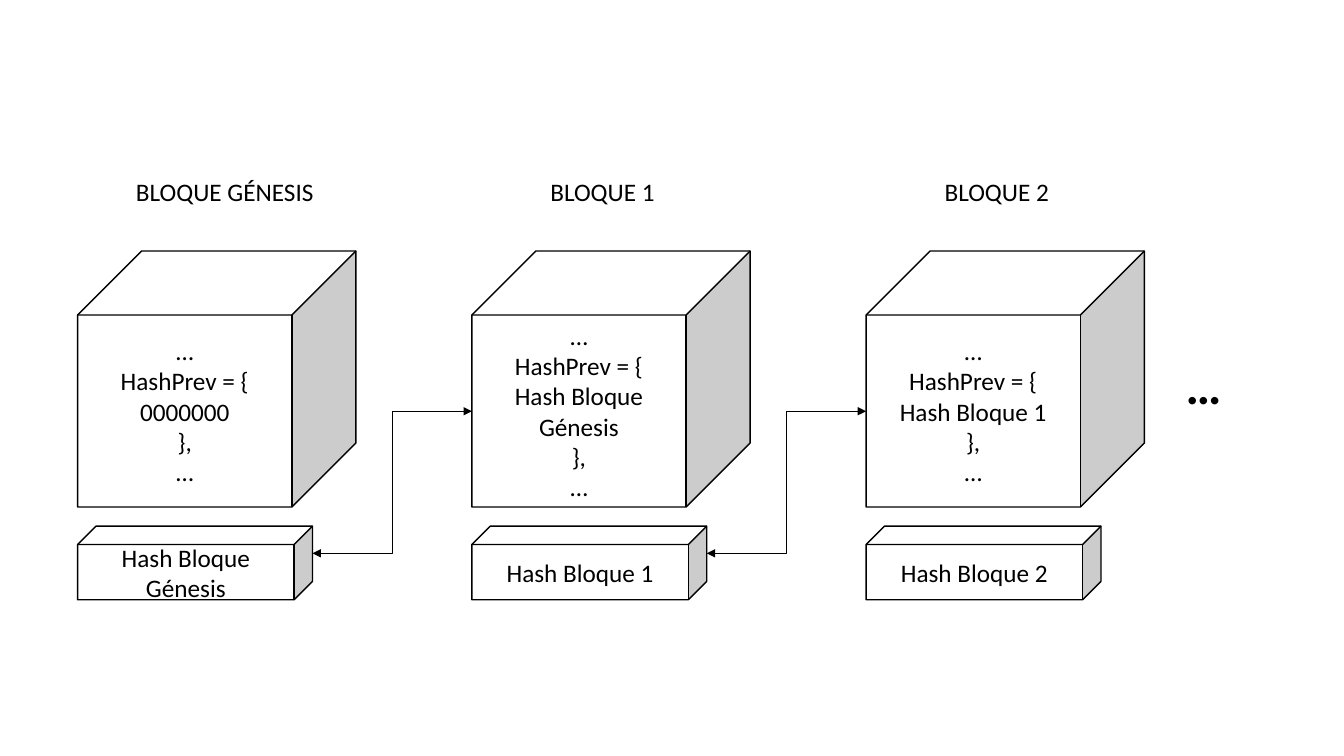
"""Builds a slide showing how each block of a chain stores the hash of the one before."""
import pptx
import pptx.dml.color
import pptx.enum.shapes
import pptx.enum.text
import pptx.oxml
import pptx.oxml.ns
import pptx.util

Inches = pptx.util.Inches
COLORS = {"ink": "000000", "face": "FFFFFF"}
FONT = "Calibri"
COLUMN_LEFT, COLUMN_TOP, COLUMN_PITCH = 0.77, 1.7, 3.91
BLOCK_WIDTH, BLOCK_HEIGHT, BLOCK_DROP = 2.76, 2.54, 0.79
HASH_WIDTH, HASH_HEIGHT, HASH_DROP = 2.33, 0.73, 3.52
LINK_START_DROP, LINK_END_DROP = 3.79, 2.38
BLOCKS = [
    ("BLOQUE GÉNESIS", 0.48, "0000000", "Hash Bloque Génesis"),
    ("BLOQUE 1", 0.68, "Hash Bloque Génesis", "Hash Bloque 1"),
    ("BLOQUE 2", 0.68, "Hash Bloque 1", "Hash Bloque 2"),
]


def color(name):
    return pptx.dml.color.RGBColor.from_string(COLORS[name])


def write(frame, lines, align, size=18, bold=False):
    frame.word_wrap = True
    for index, line in enumerate(lines):
        para = frame.paragraphs[0] if index == 0 else frame.add_paragraph()
        para.alignment = align
        span = para.add_run()
        span.text = line
        span.font.name = FONT
        span.font.size = pptx.util.Pt(size)
        span.font.bold = bold
        span.font.color.rgb = color("ink")


def add_label(page, box, text, size=18, bold=False):
    label = page.shapes.add_textbox(*map(Inches, box))
    write(label.text_frame, [text], pptx.enum.text.PP_ALIGN.LEFT, size, bold)
    label.text_frame.auto_size = pptx.enum.text.MSO_AUTO_SIZE.SHAPE_TO_FIT_TEXT


def add_cube(page, box, lines):
    cube = page.shapes.add_shape(pptx.enum.shapes.MSO_SHAPE.CUBE, *map(Inches, box))
    cube.shadow.inherit = False
    cube.fill.solid()
    cube.fill.fore_color.rgb = color("face")
    cube.line.color.rgb = color("ink")
    cube.line.width = pptx.util.Pt(1)
    cube.text_frame.vertical_anchor = pptx.enum.text.MSO_ANCHOR.MIDDLE
    write(cube.text_frame, lines, pptx.enum.text.PP_ALIGN.CENTER)


def add_block(page, left, top, title, title_indent, previous_hash, own_hash):
    add_cube(page, (left, top + BLOCK_DROP, BLOCK_WIDTH, BLOCK_HEIGHT),
             ["…", "HashPrev = {", previous_hash, "},", "…"])
    add_label(page, (left + title_indent, top, 2.28, 0.4), title)
    add_cube(page, (left, top + HASH_DROP, HASH_WIDTH, HASH_HEIGHT), [own_hash])


def add_link(page, left, top):
    ends = (left + HASH_WIDTH, top + LINK_START_DROP,
            left + COLUMN_PITCH, top + LINK_END_DROP)
    link = page.shapes.add_connector(
        pptx.enum.shapes.MSO_CONNECTOR.ELBOW, *map(Inches, ends))
    link.line.color.rgb = color("ink")
    link.line.width = pptx.util.Pt(0.75)
    outline = link.line._get_or_add_ln()
    for tag in ("a:headEnd", "a:tailEnd"):
        arrow = pptx.oxml.parse_xml(f'<{tag} {pptx.oxml.ns.nsdecls("a")} type="triangle"/>')
        outline.append(arrow)
    link._element.spPr.append(
        pptx.oxml.parse_xml(f'<a:effectLst {pptx.oxml.ns.nsdecls("a")}/>'))


def add_chain(page, left, top):
    lefts = [left + index * COLUMN_PITCH for index in range(len(BLOCKS))]
    for block_left, block in zip(lefts, BLOCKS):
        add_block(page, block_left, top, *block)
    for block_left in lefts[:-1]:
        add_link(page, block_left, top)
    add_label(page, (left + 10.89, top + 1.76, 0.72, 0.71), "…", 36, True)


deck = pptx.Presentation()
deck.slide_width, deck.slide_height = Inches(13.33), Inches(7.5)
page = deck.slides.add_slide(deck.slide_layouts[6])
add_chain(page, COLUMN_LEFT, COLUMN_TOP)
deck.save("out.pptx")
